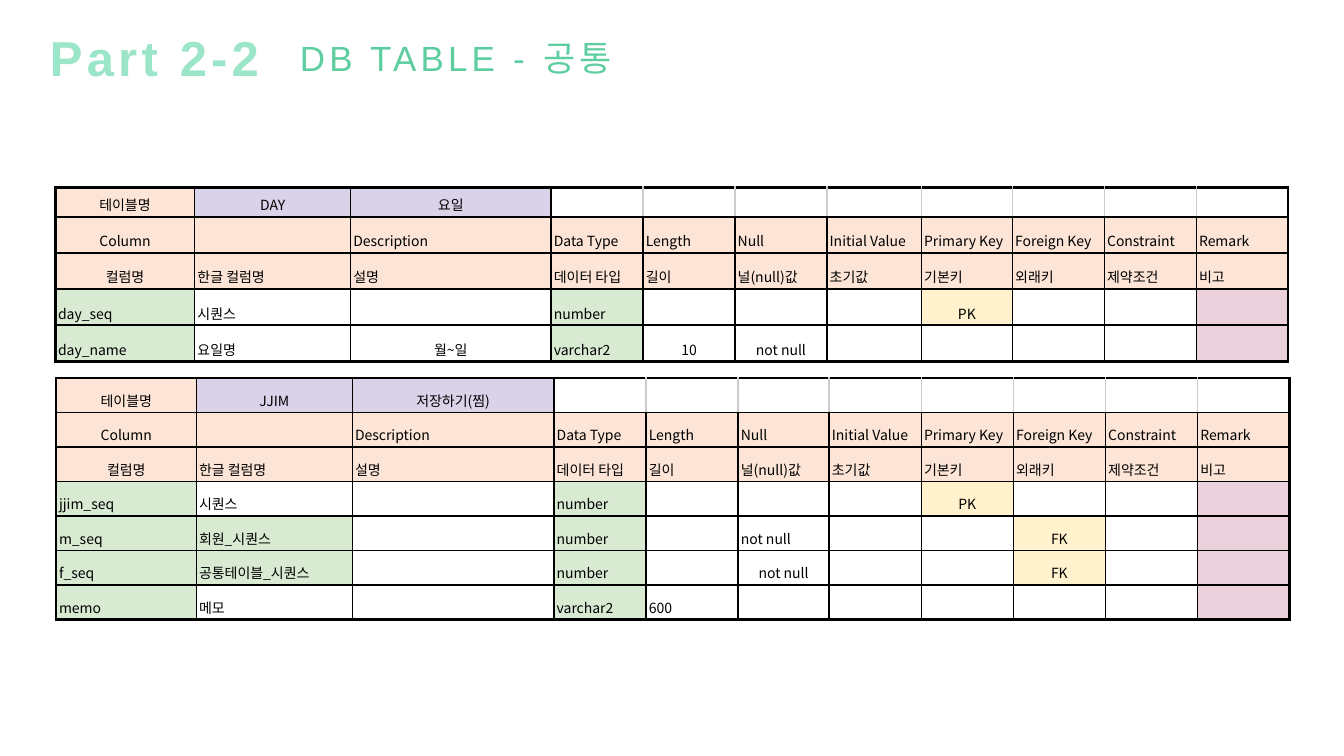
from lxml import etree
from pptx import Presentation
from pptx.dml.color import RGBColor
from pptx.enum import text
from pptx.oxml.ns import qn
from pptx.util import Pt

SANS, KOREAN = "Arial", "Noto Sans CJK KR"
BLACK, GREY = "000000", "CCCCCC"
PEACH, LILAC, GREEN = "FCE4D6", "D9D2E9", "D9EAD3"
YELLOW, PINK = "FFF2CC", "EAD1DC"
THIN, THICK = 1.2, 2
MID = "^"  # leading mark of a centred cell

HEADS = [
    ["^Column", "", "Description", "Data Type", "Length", "Null", "Initial Value",
     "Primary Key", "Foreign Key", "Constraint", "Remark"],
    ["^컬럼명", "한글 컬럼명", "설명", "데이터 타입", "길이", "널(null)값", "초기값",
     "기본키", "외래키", "제약조건", "비고"],
]
DAY = [
    ["^테이블명", "^DAY", "^요일"],
    *HEADS,
    ["day_seq", "시퀀스", "", "number", "", "", "", "^PK"],
    ["day_name", "요일명", "^월~일", "varchar2", "^10", "^not null"],
]
JJIM = [
    ["^테이블명", "^JJIM", "^저장하기(찜)"],
    *HEADS,
    ["jjim_seq", "시퀀스", "", "number", "", "", "", "^PK"],
    ["m_seq", "회원_시퀀스", "", "number", "", "not null", "", "", "^FK"],
    ["f_seq", "공통테이블_시퀀스", "", "number", "", "^not null", "", "", "^FK"],
    ["memo", "메모", "", "varchar2", "600"],
]
DAY_COLS = [99.6, 111.4, 143.2] + [65.7] * 3 + [67.5, 65] + [65.7] * 3
JJIM_COLS = [100, 111.5, 144] + [65.8] * 2 + [65] + [65.8] * 5


def color(code):
    return RGBColor.from_string(code)


def style(run, face, size, code, bold=False, gap=0):
    for key, value in {"name": face, "size": Pt(size), "bold": bold}.items():
        setattr(run.font, key, value)
    run.font.color.rgb = color(code)
    props = run.font._element
    if gap:
        props.set("spc", str(gap * 100))
    etree.SubElement(props, qn("a:ea"), typeface=face)


def heading(shape, words, box, size, code, bold=False):
    shape.left, shape.top, shape.width, shape.height = map(Pt, box)
    frame = shape.text_frame
    for key, value in {"word_wrap": True,
                       "vertical_anchor": text.MSO_ANCHOR.TOP,
                       "auto_size": text.MSO_AUTO_SIZE.SHAPE_TO_FIT_TEXT}.items():
        setattr(frame, key, value)
    para = frame.paragraphs[0]
    para.alignment = text.PP_ALIGN.CENTER
    run = para.add_run()
    run.text = words
    style(run, SANS, size, code, bold, gap=3)


def tint(row, col, words):
    """Choose the fill of a cell, or None."""
    if row == 0:
        return [PEACH, LILAC, LILAC, None][min(col, 3)]
    if row <= len(HEADS):
        return PEACH
    if col in (0, 3) or (col == 1 and "_" in words):
        return GREEN
    if words in ("PK", "FK"):
        return YELLOW
    return PINK if col == 10 else None


def edge(cell, side, code, width):
    line = etree.SubElement(cell._tc.get_or_add_tcPr(), qn("a:ln" + side),
                            w=str(Pt(width)))
    fill = etree.SubElement(line, qn("a:solidFill"))
    etree.SubElement(fill, qn("a:srgbClr"), val=code)


def border(cell, row, col, last, end):
    """Draw thick outer edges and grey dividers in the blank part of row 0."""
    outer = {"L": col == 0, "R": col == end, "T": row == 0, "B": row == last}
    grey = {"L": col > 3, "R": 3 <= col < end}
    for side, thick in outer.items():
        pale = row == 0 and grey.get(side, False)
        edge(cell, side, GREY if pale else BLACK, THICK if thick else THIN)


def write(cell, words):
    for key, value in {"margin_left": Pt(2), "margin_right": Pt(2),
                       "margin_top": Pt(1.5), "margin_bottom": Pt(1.5),
                       "vertical_anchor": text.MSO_ANCHOR.BOTTOM}.items():
        setattr(cell, key, value)
    para = cell.text_frame.paragraphs[0]
    para.line_spacing = 1.15
    if words.startswith(MID):
        para.alignment = text.PP_ALIGN.CENTER
    if words:
        run = para.add_run()
        run.text = words.lstrip(MID)
        style(run, KOREAN, 10, BLACK)
    else:
        etree.SubElement(para._p, qn("a:endParaRPr"), sz="1000")


def schema(slide, left, top, cols, highs, rows):
    """Add the table that describes one database table."""
    box = map(Pt, (left, top, sum(cols), sum(highs)))
    table = slide.shapes.add_table(len(rows), len(cols), *box).table
    table.first_row = table.horz_banding = False
    for item, width in zip(table.columns, cols):
        item.width = Pt(width)
    for item, high in zip(table.rows, highs):
        item.height = Pt(high)
    for r, row in enumerate(rows):
        for c in range(len(cols)):
            words = row[c] if c < len(row) else ""
            cell = table.cell(r, c)
            write(cell, words)
            border(cell, r, c, len(rows) - 1, len(cols) - 1)
            code = tint(r, c, words.lstrip(MID))
            if code:
                cell.fill.solid()
                cell.fill.fore_color.rgb = color(code)
            else:
                cell.fill.background()


def main():
    deck = Presentation()
    deck.slide_width, deck.slide_height = Pt(960), Pt(540)
    slide = deck.slides.add_slide(deck.slide_layouts[5])
    part = slide.shapes.add_textbox(0, 0, 0, 0)
    heading(part, "Part 2-2", (0, 16, 221, 49), 35, "9BE5C8", bold=True)
    heading(slide.shapes.title, "DB TABLE - 공통", (184.5, 22.5, 282, 36.5),
            25, "5ECEA0")
    schema(slide, 39.5, 134, DAY_COLS, [20.9] + [25.8] * 4, DAY)
    schema(slide, 40.2, 270, JJIM_COLS, [24.65] * 7, JJIM)
    deck.save("out.pptx")


if __name__ == "__main__":
    main()
